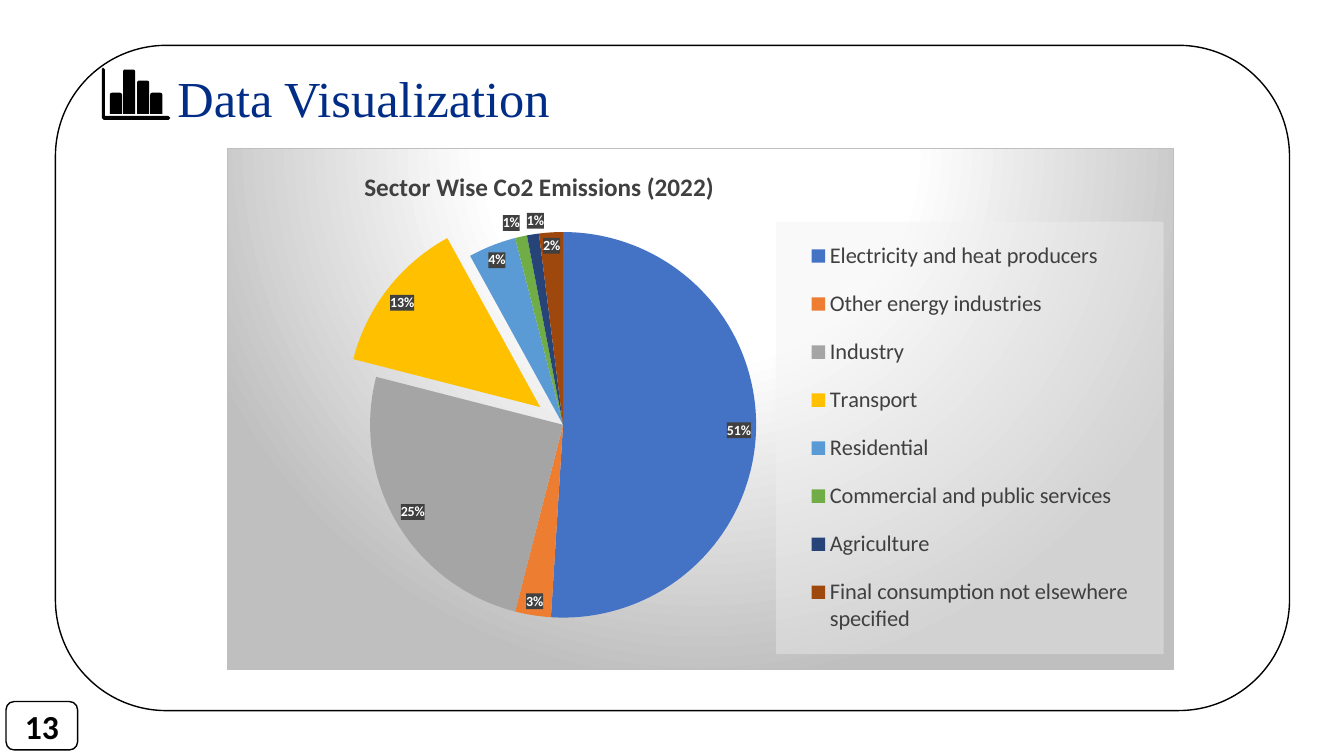
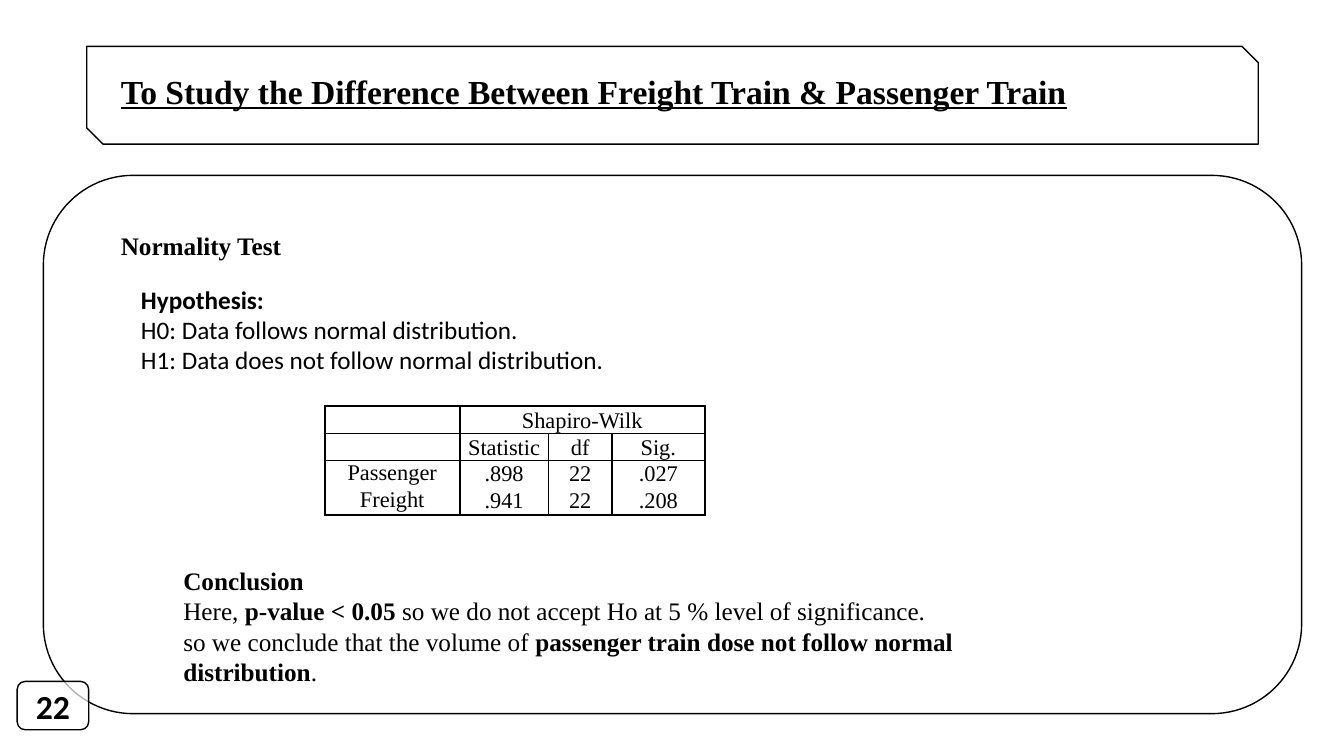
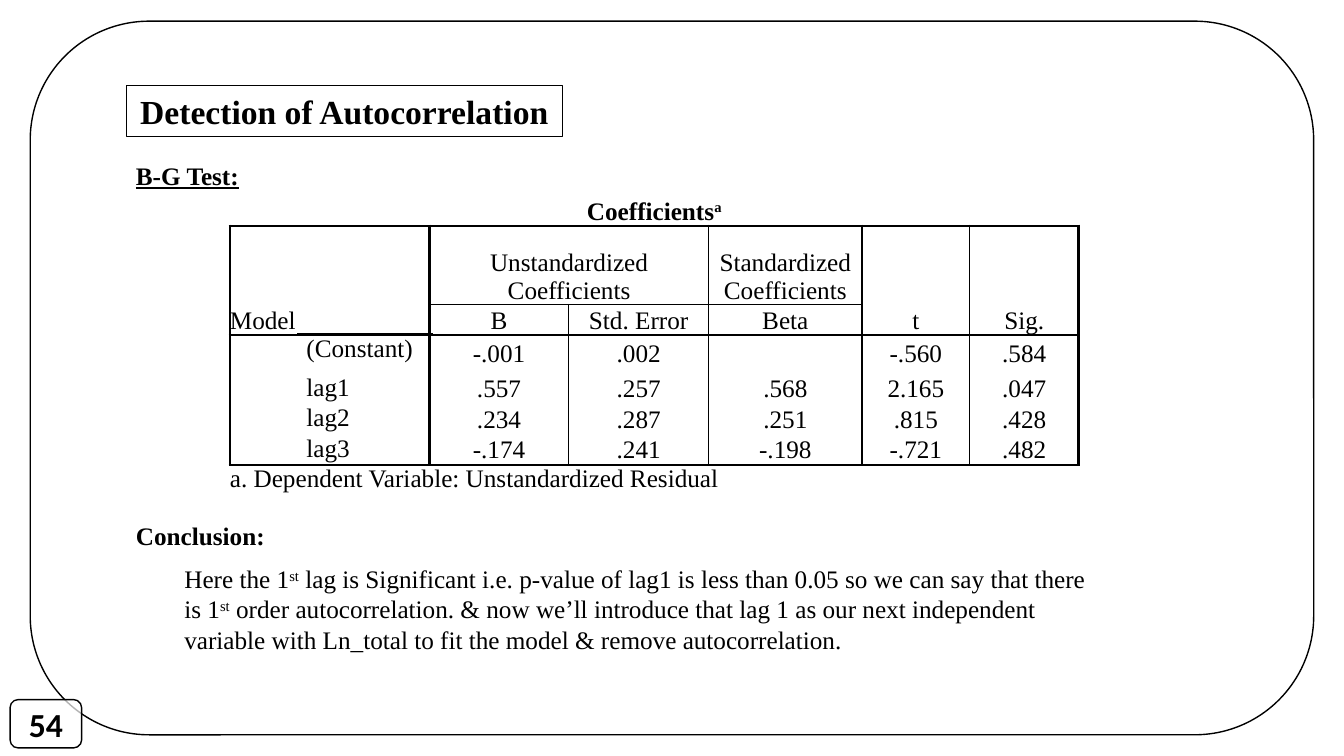
from lxml.etree import SubElement
from pptx import Presentation
from pptx.chart.data import CategoryChartData
from pptx.dml.color import RGBColor
from pptx.enum.chart import XL_CHART_TYPE, XL_LABEL_POSITION as LabelPos, XL_LEGEND_POSITION as LegendPos
from pptx.enum.shapes import MSO_CONNECTOR, MSO_SHAPE as Shape
from pptx.enum.text import MSO_ANCHOR as Anchor, MSO_AUTO_SIZE as AutoSize, PP_ALIGN as Align
from pptx.oxml import parse_xml
from pptx.oxml.ns import nsdecls, qn
from pptx.util import Emu, Pt

PX = 9144  # 100 px to the inch
SERIF, SANS = "Times New Roman", "Calibri"
BLACK, WHITE, DARK_GREY, MID_GREY = "000000", "FFFFFF", "404040", "BFBFBF"
NO_GRID_STYLE = "{2D5ABB26-0587-4C30-8999-92F81FD0307C}"

EMISSIONS = [
    ("Electricity and heat producers", 51, "4472C4"),
    ("Other energy industries", 3, "ED7D31"),
    ("Industry", 25, "A5A5A5"),
    ("Transport", 13, "FFC000"),
    ("Residential", 4, "5B9BD5"),
    ("Commercial and public services", 1, "70AD47"),
    ("Agriculture", 1, "264478"),
    ("Final consumption not elsewhere specified", 2, "9E480E"),
]


def px(*lengths):
    return [Emu(length * PX) for length in lengths]


def rgb(color):
    return RGBColor.from_string(color)


def style_font(font, size, name, color=BLACK, bold=False):
    font.size, font.name, font.bold = Pt(size), name, bold
    font.color.rgb = rgb(color)


def write_runs(paragraph, runs, size, name=SERIF):
    """Write (text, marks) runs; marks: b bold, u underline, ^ superscript."""
    for text, marks in runs:
        run = paragraph.add_run()
        run.text = text
        style_font(run.font, size, name, bold="b" in marks)
        run.font.underline = "u" in marks
        if "^" in marks:
            run._r.get_or_add_rPr().set("baseline", "30000")


def add_text(slide, box, paragraphs, name=SERIF):
    frame = slide.shapes.add_textbox(*px(*box)).text_frame
    frame.word_wrap = True
    for index, runs in enumerate(paragraphs):
        paragraph = frame.add_paragraph() if index else frame.paragraphs[0]
        write_runs(paragraph, runs, 18, name)


def add_title(slide, box, text, size=24, marks="b", anchor=Anchor.TOP, align=Align.LEFT):
    title = slide.shapes.title
    title.left, title.top, title.width, title.height = px(*box)
    slide.shapes.element.append(title.element)  # in front of the panels
    frame = title.text_frame
    frame.auto_size, frame.word_wrap, frame.vertical_anchor = AutoSize.NONE, True, anchor
    frame.paragraphs[0].alignment = align
    write_runs(frame.paragraphs[0], [(text, marks)], size)
    return title


def add_panel(slide, box, preset=Shape.ROUNDED_RECTANGLE, opacity=100):
    panel = slide.shapes.add_shape(preset, *px(*box))
    panel.shadow.inherit = False
    panel.fill.solid()
    panel.fill.fore_color.rgb = rgb(WHITE)
    if opacity < 100:
        color = panel.element.spPr.find(qn("a:solidFill"))[0]
        SubElement(color, qn("a:alpha"), val=str(opacity * 1000))
    panel.line.color.rgb = rgb(BLACK)
    panel.line.width = Pt(1)
    return panel


def add_page_number(slide, left, top, number):
    frame = add_panel(slide, (left, top, 71, 48), opacity=70).text_frame
    frame.margin_top = frame.margin_bottom = 0
    frame.paragraphs[0].alignment = Align.CENTER
    write_runs(frame.paragraphs[0], [(str(number), "b")], 24, SANS)


def add_rule(slide, start, end, width):
    rule = slide.shapes.add_connector(MSO_CONNECTOR.STRAIGHT, *px(*start, *end))
    rule.line.color.rgb = rgb(BLACK)
    rule.line.width = Pt(width)
    SubElement(rule.element.spPr, qn("a:effectLst"))


def set_borders(cell, widths):
    """Draw left, right, top and bottom borders, given in points."""
    tc_pr = cell._tc.get_or_add_tcPr()
    for index, (side, width) in enumerate(zip("LRTB", widths)):
        fill = f'<a:solidFill><a:srgbClr val="{BLACK}"/></a:solidFill>' if width else "<a:noFill/>"
        tc_pr.insert(index, parse_xml(
            f'<a:ln{side} {nsdecls("a")} w="{int(width * 12700)}">{fill}</a:ln{side}>'))


def add_grid(slide, corner, columns, heights, rows, spans, verticals, horizontals,
             size, header_rows, label_columns=1, label_align=Align.CENTER, inset=0, framed=None):
    """Add a table ruled by line widths per grid line; framed holds the rows with verticals."""
    table = slide.shapes.add_table(len(heights), len(columns),
                                   *px(*corner, sum(columns), sum(heights))).table
    table._tbl.tblPr.find(qn("a:tableStyleId")).text = NO_GRID_STYLE
    table.first_row = table.horz_banding = False
    for column, width in zip(table.columns, px(*columns)):
        column.width = width
    for row, height in zip(table.rows, px(*heights)):
        row.height = height
    for (r, c), (down, across) in spans.items():
        table.cell(r, c).merge(table.cell(r + down - 1, c + across - 1))
    for r, row in enumerate(rows):
        for c, text in enumerate(row):
            cell, is_label = table.cell(r, c), c < label_columns
            cell.margin_left = cell.margin_right = px(inset)[0]
            cell.margin_top = cell.margin_bottom = 0
            cell.fill.solid()
            cell.fill.fore_color.rgb = rgb(WHITE)
            paragraph = cell.text_frame.paragraphs[0]
            paragraph.alignment = label_align if is_label else Align.CENTER
            if text:
                write_runs(paragraph, [(text, "")] if isinstance(text, str) else text, size)
            else:
                SubElement(paragraph._p, qn("a:endParaRPr"), sz=str(size * 100))
            if r < header_rows:
                cell.vertical_anchor = Anchor.BOTTOM
            else:
                cell.vertical_anchor = Anchor.TOP if is_label else Anchor.MIDDLE
            if not cell.is_spanned:
                down, across = spans.get((r, c), (1, 1))
                sides = (verticals[c], verticals[c + across]) if framed is None or r in framed else (0, 0)
                set_borders(cell, (*sides, horizontals[r], horizontals[r + down]))
    return table


def solid_xml(color, opacity):
    return (f'<a:solidFill><a:srgbClr val="{color}">'
            f'<a:alpha val="{opacity * 1000}"/></a:srgbClr></a:solidFill>')


def chart_format(content):
    return parse_xml(f'<c:spPr {nsdecls("c", "a")}>{content}</c:spPr>')


def place_chart_part(part, index, inner=False, **fractions):
    """Give a chart part a manual layout as child number index."""
    for layout in part.findall(qn("c:layout")):
        part.remove(layout)
    target = '<c:layoutTarget val="inner"/>' if inner else ""
    modes = '<c:xMode val="edge"/><c:yMode val="edge"/>'
    values = "".join(f'<c:{key} val="{value}"/>' for key, value in fractions.items())
    part.insert(index, parse_xml(f'<c:layout {nsdecls("c")}><c:manualLayout>{target}{modes}{values}'
                                 '</c:manualLayout></c:layout>'))


def add_emissions_pie(slide, box):
    data = CategoryChartData()
    data.categories = [sector for sector, _, _ in EMISSIONS]
    data.add_series("Series 1", [share for _, share, _ in EMISSIONS])
    chart = slide.shapes.add_chart(XL_CHART_TYPE.PIE, *px(*box), data).chart
    style_font(chart.font, 10, SANS)
    backdrop = chart_format(
        f'<a:gradFill><a:gsLst><a:gs pos="0"><a:srgbClr val="{WHITE}"/></a:gs>'
        f'<a:gs pos="39000"><a:srgbClr val="{WHITE}"/></a:gs>'
        f'<a:gs pos="100000"><a:srgbClr val="{MID_GREY}"/></a:gs></a:gsLst>'
        '<a:path path="circle"><a:fillToRect l="50000" t="-80000" r="50000" b="180000"/></a:path>'
        f'</a:gradFill><a:ln w="9525">{solid_xml(MID_GREY, 100)}</a:ln>')
    chart._chartSpace.find(qn("c:chart")).addnext(backdrop)

    chart.has_title = True
    heading = chart.chart_title.text_frame
    heading.text = "Sector Wise Co2 Emissions (2022)"
    style_font(heading.paragraphs[0].runs[0].font, 18, SANS, DARK_GREY, True)
    place_chart_part(chart.chart_title._element, 1, x=0.14, y=0.03)

    chart.has_legend = True
    legend = chart.legend
    legend.position, legend.include_in_layout = LegendPos.RIGHT, False
    style_font(legend.font, 16, SANS, DARK_GREY)
    place_chart_part(legend._element, 1, x=0.58, y=0.14, w=0.41, h=0.83)
    legend._element.find(qn("c:txPr")).addprevious(chart_format(solid_xml("F2F2F2", 39)))

    plot = chart.plots[0]
    plot.vary_by_categories = True
    place_chart_part(chart._chartSpace.xpath("c:chart/c:plotArea")[0], 0, inner=True,
                     x=0.15, y=0.16, w=0.41, h=0.74)
    series = plot.series[0]
    for index, (_, _, color) in enumerate(EMISSIONS):
        fill = series.points[index].format.fill
        fill.solid()
        fill.fore_color.rgb = rgb(color)
    transport = series._element.xpath('c:dPt[c:idx/@val="3"]/c:spPr')[0]
    transport.addprevious(parse_xml(f'<c:explosion {nsdecls("c")} val="15"/>'))

    labels = series.data_labels
    labels.show_percentage, labels.show_value = True, False
    labels.number_format, labels.number_format_is_linked = "0%", False
    style_font(labels.font, 10, SANS, WHITE, True)
    labels.position = LabelPos.BEST_FIT
    labels._element.find(qn("c:txPr")).addprevious(chart_format(solid_xml(DARK_GREY, 90)))


def add_bar_icon(slide):
    parts = slide.shapes.add_group_shape().shapes
    outline = parts.build_freeform(101, 69, scale=PX)
    outline.add_line_segments([(102, 67), (104, 69), (104, 115), (167, 115), (169, 117),
                               (167, 119), (103, 119), (101, 117)])
    pieces = [outline.convert_to_shape()]
    for left, top in ((109, 92), (122, 69), (136, 80), (149, 92)):
        pieces.append(parts.add_shape(Shape.ROUND_2_SAME_RECTANGLE, *px(left, top, 12, 113 - top)))
    for piece in pieces:
        piece.shadow.inherit = False
        piece.fill.solid()
        piece.fill.fore_color.rgb = rgb(BLACK)
        piece.line.fill.background()


def build_visualization(slide):
    add_panel(slide, (55, 45, 1224, 660), opacity=90)
    title = add_title(slide, (166, 30, 473, 127), "Data Visualization", 36, "", Anchor.MIDDLE)
    heading = title.text_frame.paragraphs[0]
    heading.line_spacing = 1.1
    blues = heading.runs[0].font.fill
    blues.gradient()
    blues.gradient_angle = 0
    for stop, color in zip(blues.gradient_stops, ("012D86", "0E2557")):
        stop.color.rgb = rgb(color)
    add_emissions_pie(slide, (225, 147, 939, 518))
    add_bar_icon(slide)
    add_page_number(slide, 6, 696, 13)


def build_normality(slide):
    add_panel(slide, (43, 174, 1248, 534))
    add_text(slide, (130, 277, 505, 97), [
        [("Hypothesis:", "b")],
        [("H0: Data follows normal distribution.", "")],
        [("H1: Data does not follow normal distribution.", "")],
    ], SANS)
    add_text(slide, (172, 556, 864, 131), [
        [("Conclusion", "b")],
        [("Here, ", ""), ("p-value < 0.05", "b"),
         (" so we do not accept Ho at 5 % level of significance.", "")],
        [("so we conclude that the volume of", ""),
         (" passenger train dose not follow normal distribution", "b"), (".", "")],
    ])
    add_grid(slide, (322, 403), (134, 88, 63, 92), [27] * 4, [
        ["", "Shapiro-Wilk", "", ""],
        ["", "Statistic", "df", "Sig."],
        ["Passenger", ".898", "22", ".027"],
        ["Freight", ".941", "22", ".208"],
    ], {(0, 1): (1, 3)}, (1.5, 1.5, 1, 1, 1.5), (1.5, 1, 1.5, 0, 1.5),
        size=16, header_rows=2, inset=6)
    add_panel(slide, (86, 46, 1162, 97), Shape.SNIP_2_DIAG_RECTANGLE)
    add_title(slide, (110, 65, 1071, 81),
              "To Study the Difference Between Freight Train & Passenger Train", marks="bu")
    add_text(slide, (110, 224, 196, 40), [[("Normality Test", "b")]])
    add_page_number(slide, 17, 676, 22)


def build_autocorrelation(slide):
    add_panel(slide, (30, 21, 1273, 708), opacity=94)
    title = add_title(slide, (125, 85, 433, 50), "Detection of Autocorrelation",
                      anchor=Anchor.MIDDLE, align=Align.CENTER)
    title.line.color.rgb = rgb(BLACK)
    title.line.width = Pt(0.75)
    add_text(slide, (125, 154, 556, 40), [[("B-G Test:", "bu")]])
    table = add_grid(slide, (228, 194), (76, 122, 138, 139, 152, 107, 108),
                     (30, 78, 30, 39, 30, 30, 30, 30), [
        [[("Coefficients", "b"), ("a", "b^")], "", "", "", "", "", ""],
        ["Model", "", "Unstandardized Coefficients", "", "Standardized Coefficients", "t", "Sig."],
        ["", "", "B", "Std. Error", "Beta", "", ""],
        ["", "(Constant)", "-.001", ".002", "", "-.560", ".584"],
        ["", "lag1", ".557", ".257", ".568", "2.165", ".047"],
        ["", "lag2", ".234", ".287", ".251", ".815", ".428"],
        ["", "lag3", "-.174", ".241", "-.198", "-.721", ".482"],
        ["a. Dependent Variable: Unstandardized Residual", "", "", "", "", "", ""],
    ], {(0, 0): (1, 7), (1, 0): (2, 2), (1, 2): (1, 2), (1, 5): (2, 1), (1, 6): (2, 1),
        (3, 0): (4, 1), (7, 0): (1, 7)},
        (2, 0, 2, 1, 1, 1, 1, 2), (0, 2, 1, 2, 0, 0, 0, 2, 0),
        size=18, header_rows=3, label_columns=2, label_align=Align.LEFT, framed=range(1, 7))
    table.cell(0, 0).text_frame.paragraphs[0].alignment = Align.CENTER
    add_text(slide, (125, 511, 333, 40), [[("Conclusion:", "b")]])
    add_text(slide, (173, 554, 919, 97), [[
        ("Here the 1", ""), ("st", "^"),
        (" lag is Significant i.e. p-value of lag1 is less than 0.05 so we can say that there is 1", ""),
        ("st", "^"),
        (" order autocorrelation. & now we’ll introduce that lag 1 as our next independent "
         "variable with Ln_total to fit the model & remove autocorrelation.", ""),
    ]])
    add_rule(slide, (295, 332), (429, 332), 2.25)
    add_page_number(slide, 10, 694, 54)


def main():
    deck = Presentation()
    deck.slide_width, deck.slide_height = px(1333, 750)
    title_only = deck.slide_layouts[5]
    for build in (build_visualization, build_normality, build_autocorrelation):
        build(deck.slides.add_slide(title_only))
    deck.save("out.pptx")


if __name__ == "__main__":
    main()
